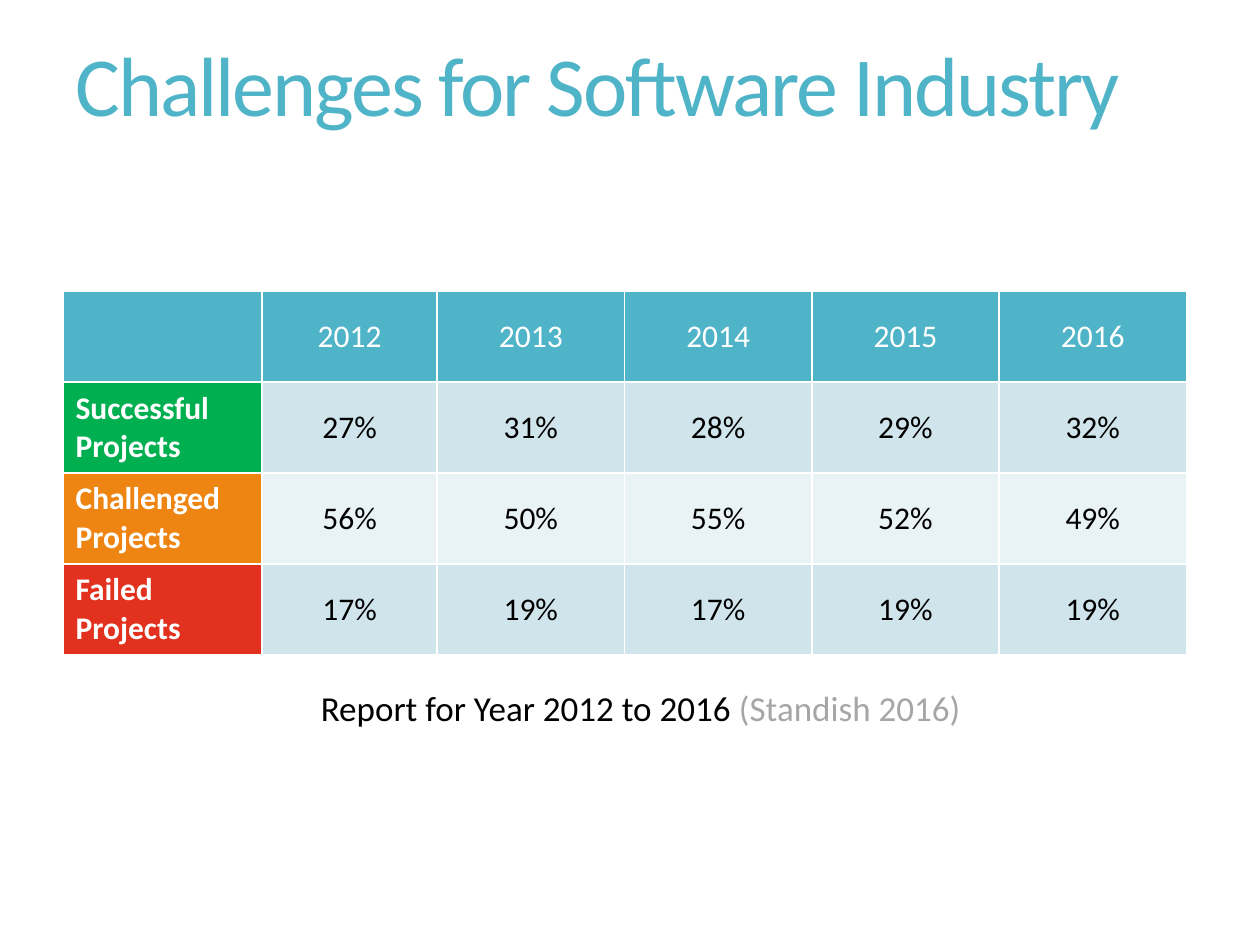
from lxml import etree
from pptx import Presentation, util as u
from pptx.dml.color import RGBColor
from pptx.enum import text
from pptx.oxml.ns import qn

TEAL, WHITE, BLACK, GREY = "50B4C8", "FFFFFF", "000000", "A6A6A6"
BANDS = ["D0E5EB", "E9F2F5"]
YEARS = ["2012", "2013", "2014", "2015", "2016"]
ROWS = [
    ("Successful\nProjects", "00B050", [27, 31, 28, 29, 32]),
    ("Challenged Projects", "EE8512", [56, 50, 55, 52, 49]),
    ("Failed Projects", "E2311E", [17, 19, 17, 19, 19]),
]
LEFT, MID = text.PP_ALIGN.LEFT, text.PP_ALIGN.CENTER


def color(code):
    return RGBColor.from_string(code)


class Deck:
    """Places elements on a grid of 100 columns by 75 rows."""

    font = "Calibri"

    def __init__(self):
        self.prs = Presentation()
        self.prs.slide_width, self.prs.slide_height = u.Inches(10), u.Inches(7.5)
        self.unit = self.prs.slide_width / 100
        self.slide = self.prs.slides.add_slide(self.prs.slide_layouts[5])

    def span(self, *sizes):
        return [round(size * self.unit) for size in sizes]

    def style(self, run, size, code, bold=False):
        values = {"name": self.font, "size": u.Pt(size), "bold": bold}
        for key, value in values.items():
            setattr(run.font, key, value)
        run.font.color.rgb = color(code)

    def title(self, words, place, size, code, track):
        """Fill the title; track is letter spacing in points."""
        shape = self.slide.shapes.title
        for key, value in zip(("left", "top", "width", "height"), self.span(*place)):
            setattr(shape, key, value)
        frame = shape.text_frame
        frame.text = words
        frame.auto_size = text.MSO_AUTO_SIZE.NONE
        frame.vertical_anchor = text.MSO_ANCHOR.MIDDLE
        line = frame.paragraphs[0]
        line.alignment, line.line_spacing = LEFT, 0.9
        run = line.runs[0]
        self.style(run, size, code)
        run.font._element.set("spc", str(round(track * 100)))

    def note(self, parts, place, size):
        """Add one centred line made of (words, colour) parts."""
        frame = self.slide.shapes.add_textbox(*self.span(*place)).text_frame
        frame.word_wrap = True
        frame.auto_size = text.MSO_AUTO_SIZE.SHAPE_TO_FIT_TEXT
        line = frame.paragraphs[0]
        line.alignment = MID
        for words, code in parts:
            run = line.add_run()
            run.text = words
            self.style(run, size, code)

    def edges(self, cell, code, width):
        props = cell._tc.get_or_add_tcPr()
        for side in "LRTB":
            edge = etree.SubElement(props, qn(f"a:ln{side}"), w=str(u.Pt(width)))
            fill = etree.SubElement(edge, qn("a:solidFill"))
            etree.SubElement(fill, qn("a:srgbClr"), val=code)

    def cell(self, cell, words, fill, code, align=MID, bold=False):
        self.edges(cell, WHITE, 1)
        cell.fill.solid()
        cell.fill.fore_color.rgb = color(fill)
        cell.vertical_anchor = text.MSO_ANCHOR.MIDDLE
        cell.text = words
        for line in cell.text_frame.paragraphs:
            line.alignment = align
            for run in line.runs:
                self.style(run, 18, code, bold)

    def table(self, heads, rows, left, top, widths, height):
        count = len(rows) + 1
        place = self.span(left, top, sum(widths), height * count)
        grid = self.slide.shapes.add_table(count, len(widths), *place).table
        for col, width in zip(grid.columns, self.span(*widths)):
            col.width = width
        for c, head in enumerate([""] + heads):
            self.cell(grid.cell(0, c), head, TEAL, WHITE)
        for r, (label, fill, shares) in enumerate(rows, 1):
            self.cell(grid.cell(r, 0), label, fill, WHITE, LEFT, True)
            for c, share in enumerate(shares, 1):
                self.cell(grid.cell(r, c), f"{share}%", BANDS[(r - 1) % 2], BLACK)


def main():
    deck = Deck()
    deck.title("Challenges for Software Industry", (5, 0.8, 90, 12.5), 48, TEAL, -1.2)
    deck.table(YEARS, ROWS, 5, 23.1, [15.8, 13.9] + [14.87] * 4, 7.22)
    deck.note([("Report for Year 2012 to 2016 ", BLACK), ("(Standish 2016)", GREY)],
              (20, 54, 61.7, 4.4), 20)
    deck.prs.save("out.pptx")


if __name__ == "__main__":
    main()
